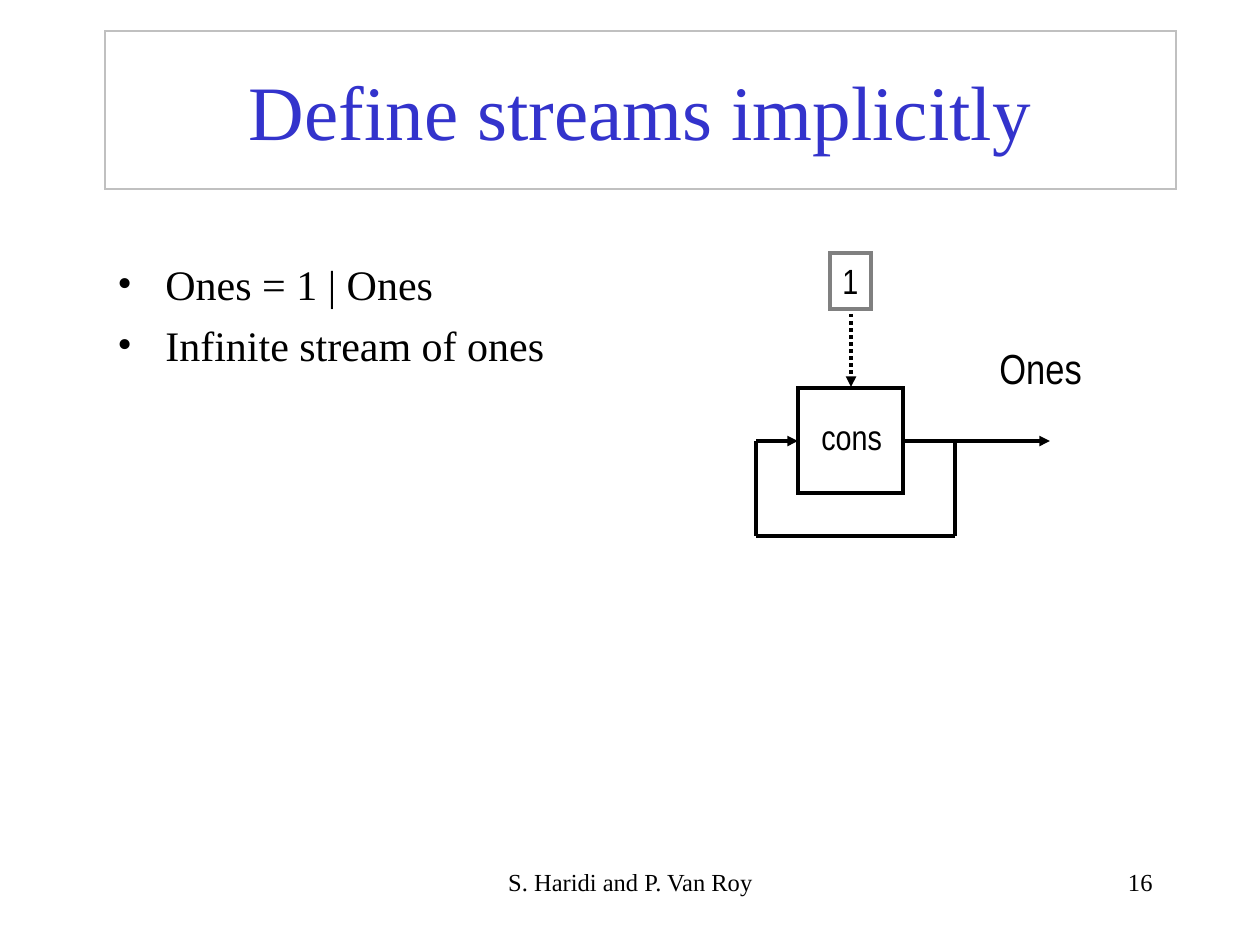
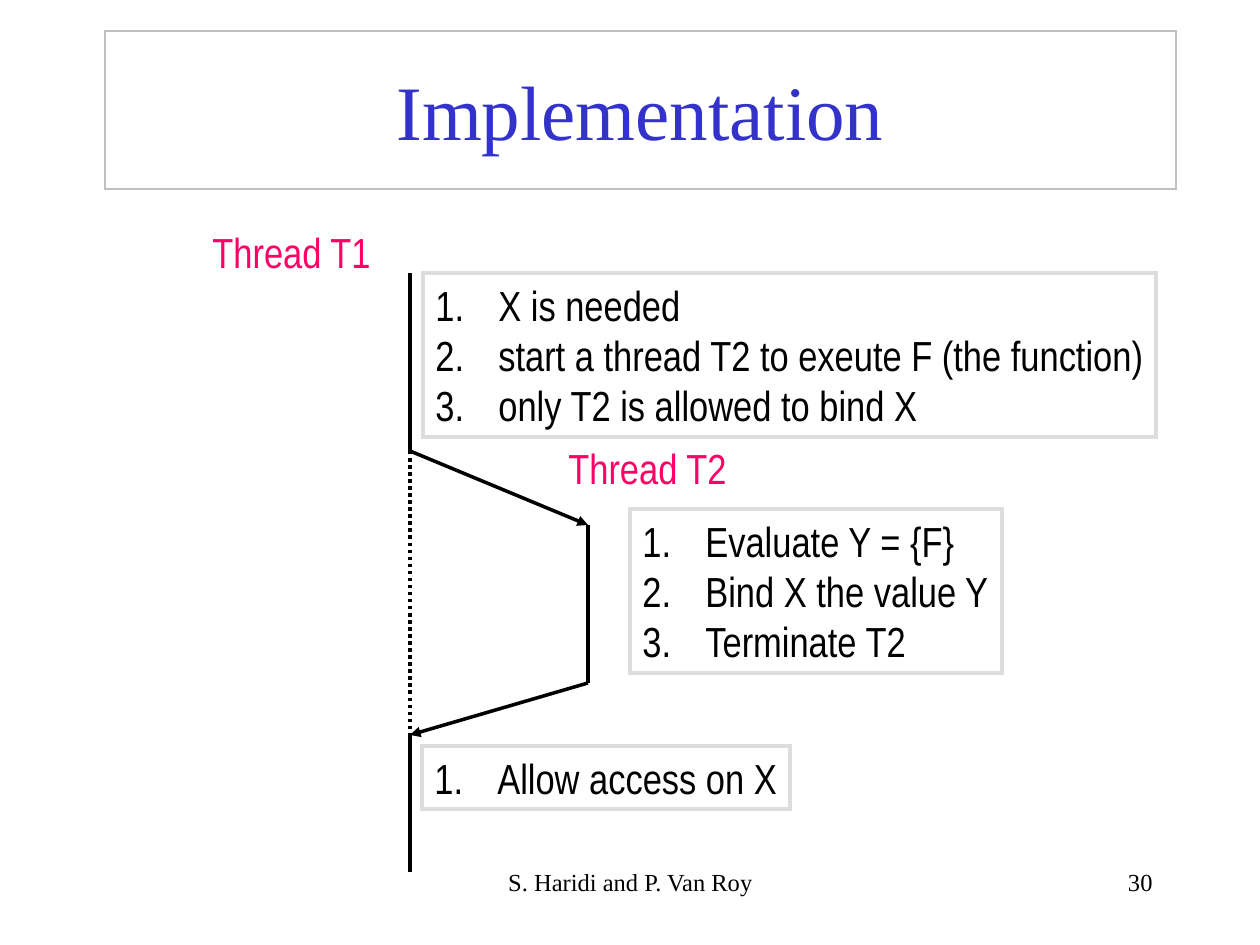
"""Builds two lecture slides on streams and by-need threads."""
import itertools

import pptx
import pptx.dml.color
import pptx.enum.dml
import pptx.enum.shapes
import pptx.enum.text
import pptx.oxml.ns
import pptx.util
from lxml import etree

RGBColor = pptx.dml.color.RGBColor
BLACK = RGBColor(0x00, 0x00, 0x00)
BLUE = RGBColor(0x33, 0x33, 0xCC)
PINK = RGBColor(0xFF, 0x00, 0x66)
GREY = RGBColor(0x80, 0x80, 0x80)
SILVER = RGBColor(0xC0, 0xC0, 0xC0)
PALE = RGBColor(0xDD, 0xDD, 0xDD)
SERIF = "Times New Roman"
NARROW = "Arial Narrow"
ALIGN = pptx.enum.text.PP_ALIGN
ANCHOR = pptx.enum.text.MSO_ANCHOR
FIT = pptx.enum.text.MSO_AUTO_SIZE
DOTTED = pptx.enum.dml.MSO_LINE.ROUND_DOT
EMU_PER_PX = 914400 / 126


def px(n):
    return pptx.util.Emu(round(n * EMU_PER_PX))


def sub(parent, tag, **attrs):
    return etree.SubElement(parent, pptx.oxml.ns.qn(tag), attrs)


def set_outline(sp, color, width=2):
    sp.line.color.rgb = color
    sp.line.width = pptx.util.Pt(width)
    sub(sp.line._get_or_add_ln(), "a:miter", lim="800000")


def set_bullet(p, indent, bullet, font):
    pPr = p._p.get_or_add_pPr()
    pPr.set("marL", str(px(indent)))
    pPr.set("indent", str(-px(indent)))
    sub(pPr, "a:buFont", typeface=font)
    if bullet == "number":
        sub(pPr, "a:buAutoNum", type="arabicPeriod")
    else:
        sub(pPr, "a:buChar", char=bullet)


def add_text(slide, text, box, *, size=24, font=NARROW, color=BLACK,
             align=ALIGN.LEFT, anchor=ANCHOR.TOP, wrap=False, before=0,
             bullet=None, indent=0, border=None, border_width=2):
    sp = slide.shapes.add_textbox(*map(px, box))
    if border is not None:
        set_outline(sp, border, border_width)
    tf = sp.text_frame
    tf.word_wrap = wrap
    tf.auto_size = FIT.NONE if wrap else FIT.SHAPE_TO_FIT_TEXT
    tf.vertical_anchor = anchor
    for i, line in enumerate(text.split("\n")):
        p = tf.add_paragraph() if i else tf.paragraphs[0]
        p.alignment = align
        p.space_before = pptx.util.Pt(before)
        if bullet:
            set_bullet(p, indent, bullet, font)
        r = p.add_run()
        r.text = line
        r.font.size = pptx.util.Pt(size)
        r.font.name = font
        r.font.color.rgb = color


def add_square(slide, box):
    sp = slide.shapes.add_shape(
        pptx.enum.shapes.MSO_SHAPE.RECTANGLE, *map(px, box))
    sp.shadow.inherit = False
    sp.fill.background()
    set_outline(sp, BLACK)


def add_path(slide, *points, arrow=False, dash=None):
    pairs = list(itertools.pairwise(points))
    for i, (start, end) in enumerate(pairs, 1):
        cxn = slide.shapes.add_connector(
            pptx.enum.shapes.MSO_CONNECTOR.STRAIGHT,
            *map(px, start + end))
        cxn.line.color.rgb = BLACK
        cxn.line.width = pptx.util.Pt(2)
        if dash is not None:
            cxn.line.dash_style = dash
        if arrow and i == len(pairs):
            sub(cxn.line._get_or_add_ln(), "a:tailEnd", type="triangle")
        sub(cxn._element.spPr, "a:effectLst")


def add_steps(slide, text, box):
    add_text(slide, text, box, bullet="number", indent=63, border=PALE)


def add_slide(prs, title, number):
    slide = prs.slides.add_slide(prs.slide_layouts[6])
    add_text(slide, title, (105, 31, 1071, 158), size=44, font=SERIF,
             color=BLUE, align=ALIGN.CENTER, anchor=ANCHOR.MIDDLE,
             wrap=True, border=SILVER, border_width=0.75)
    footer = {"size": 14, "font": SERIF, "wrap": True}
    add_text(slide, "S. Haridi and P. Van Roy", (431, 861, 399, 63),
             align=ALIGN.CENTER, **footer)
    add_text(slide, str(number), (903, 861, 262, 63),
             align=ALIGN.RIGHT, **footer)
    return slide


def build_streams(prs):
    s = add_slide(prs, "Define streams implicitly", 16)
    add_text(s, "Ones = 1 | Ones\nInfinite stream of ones",
             (105, 252, 452, 168), font=SERIF, wrap=True, before=6,
             bullet="•", indent=48)
    add_square(s, (798, 388, 105, 105))
    add_text(s, "1", (830, 253, 41, 56), size=20, border=GREY)
    add_path(s, (851, 314), (851, 387), arrow=True, dash=DOTTED)
    add_text(s, "cons", (809, 409, 95, 55), size=20, wrap=True)
    add_path(s, (903, 441), (1050, 441), arrow=True)
    add_path(s, (955, 441), (955, 536), (756, 536), (756, 441),
             (798, 441), arrow=True)
    add_text(s, "Ones", (987, 336, 120, 63), wrap=True)


def build_threads(prs):
    s = add_slide(prs, "Implementation", 30)
    t1, t2 = 410, 588
    fork, start, finish, join = 451, 525, 683, 735
    add_path(s, (t1, 273), (t1, fork), (t2, start), arrow=True)
    add_path(s, (t1, fork), (t1, 840), dash=DOTTED)
    add_path(s, (t2, start), (t2, finish), (t1, join), arrow=True)
    add_path(s, (t1, join), (t1, 872))
    add_text(s, "Thread T1", (200, 220, 184, 63), color=PINK)
    add_steps(s, "X is needed\n"
                 "start a thread T2 to exeute F (the function)\n"
                 "only T2 is allowed to bind X", (423, 273, 733, 164))
    add_text(s, "Thread T2", (556, 436, 184, 63), color=PINK)
    add_steps(s, "Evaluate Y = {F}\nBind X the value Y\nTerminate T2",
              (630, 509, 372, 164))
    add_steps(s, "Allow access on X", (422, 746, 368, 63))


def main():
    prs = pptx.Presentation()
    prs.slide_width, prs.slide_height = px(1260), px(945)
    build_streams(prs)
    build_threads(prs)
    prs.save("out.pptx")


if __name__ == "__main__":
    main()
